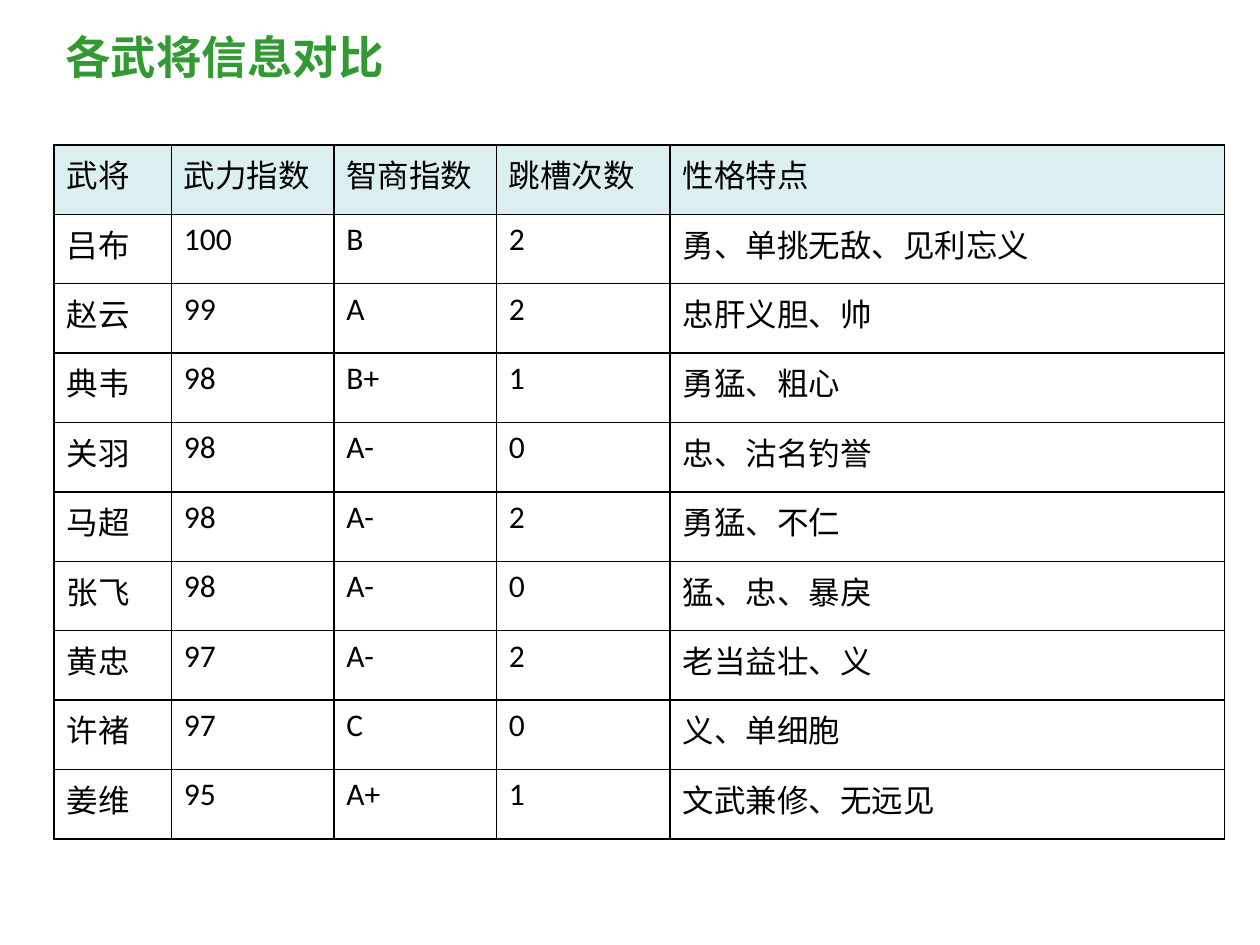
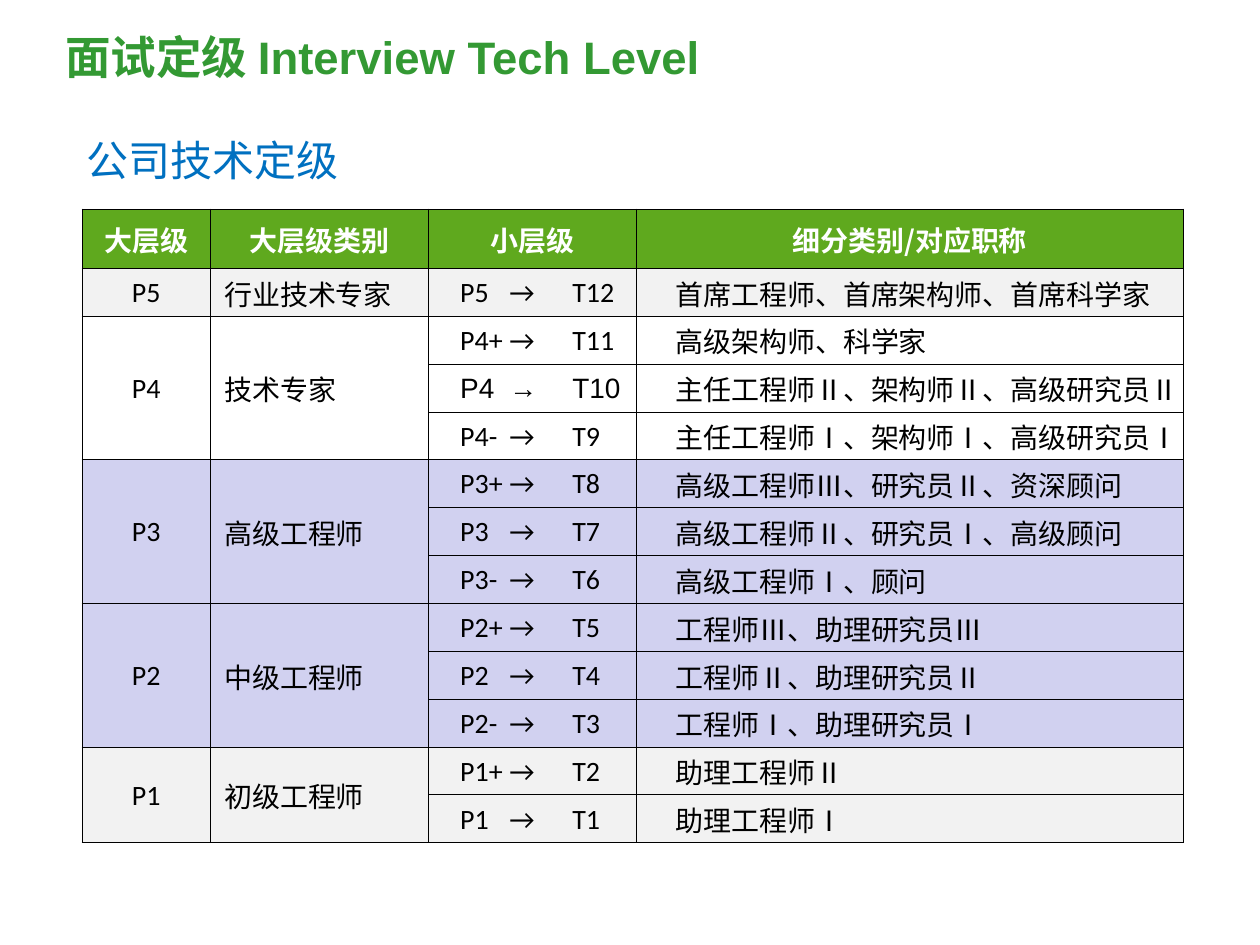
from dataclasses import dataclass

from lxml import etree
from pptx import Presentation
from pptx import util as u
from pptx.dml.color import RGBColor
from pptx.enum import text
from pptx.oxml import ns


@dataclass(frozen=True)
class Theme:
    title_font: str = "Arial"
    body_font: str = "Calibri"
    chinese_font: str = "Noto Sans CJK SC"
    title_size: float = 26
    subtitle_size: float = 24
    generals_size: float = 18
    levels_size: float = 16
    title: str = "339933"
    subtitle: str = "0070C0"
    ink: str = "000000"
    white: str = "FFFFFF"
    generals_header: str = "BBE0E3"
    levels_header: str = "5FA91E"
    grey: str = "F2F2F2"
    lavender: str = "D1D1F0"


@dataclass(frozen=True)
class Box:
    left: float
    top: float
    width: float
    height: float

    def emu(self):
        return [u.Inches(n) for n in (self.left, self.top, self.width, self.height)]


THEME = Theme()
TITLE_BOX = Box(0.42, 0.13, 7.73, 0.63)
ALL_EDGES = "LRTB"
SUB_LEVEL_EDGES = {2: "LTB", 3: "TB", 4: "RTB"}

GENERALS_COLUMNS = [0.93, 1.29, 1.29, 1.38, 4.4]
GENERALS = [
    ("武将", "武力指数", "智商指数", "跳槽次数", "性格特点"),
    ("吕布", "100", "B", "2", "勇、单挑无敌、见利忘义"),
    ("赵云", "99", "A", "2", "忠肝义胆、帅"),
    ("典韦", "98", "B+", "1", "勇猛、粗心"),
    ("关羽", "98", "A-", "0", "忠、沽名钓誉"),
    ("马超", "98", "A-", "2", "勇猛、不仁"),
    ("张飞", "98", "A-", "0", "猛、忠、暴戾"),
    ("黄忠", "97", "A-", "2", "老当益壮、义"),
    ("许褚", "97", "C", "0", "义、单细胞"),
    ("姜维", "95", "A+", "1", "文武兼修、无远见"),
]

LEVEL_COLUMNS = [1.02, 1.73, 0.24, 0.39, 1.02, 4.33]
LEVEL_HEADERS = {0: "大层级", 1: "大层级类别", 2: "小层级", 5: "细分类别/对应职称"}
LEVELS = [
    ("P5", "行业技术专家", THEME.grey, [("P5", "T12", "首席工程师、首席架构师、首席科学家")]),
    ("P4", "技术专家", THEME.white, [
        ("P4+", "T11", "高级架构师、科学家"),
        ("P4", "T10", "主任工程师Ⅱ、架构师Ⅱ、高级研究员Ⅱ"),
        ("P4-", "T9", "主任工程师Ⅰ、架构师Ⅰ、高级研究员Ⅰ")]),
    ("P3", "高级工程师", THEME.lavender, [
        ("P3+", "T8", "高级工程师Ⅲ、研究员Ⅱ、资深顾问"),
        ("P3", "T7", "高级工程师Ⅱ、研究员Ⅰ、高级顾问"),
        ("P3-", "T6", "高级工程师Ⅰ、顾问")]),
    ("P2", "中级工程师", THEME.lavender, [
        ("P2+", "T5", "工程师Ⅲ、助理研究员Ⅲ"),
        ("P2", "T4", "工程师Ⅱ、助理研究员Ⅱ"),
        ("P2-", "T3", "工程师Ⅰ、助理研究员Ⅰ")]),
    ("P1", "初级工程师", THEME.grey, [
        ("P1+", "T2", "助理工程师Ⅱ"),
        ("P1", "T1", "助理工程师Ⅰ")]),
]


def add_element(parent, tag, **attributes):
    return etree.SubElement(parent, ns.qn(tag), **attributes)


def style_font(paragraph, name, size, color, bold=False):
    font = paragraph.font
    font.name, font.size, font.bold = name, u.Pt(size), bold
    font.color.rgb = RGBColor.from_string(color)
    add_element(font._element, "a:ea", typeface=THEME.chinese_font)


def add_heading(slide, box, words, size, color, bold=False):
    frame = slide.shapes.add_textbox(*box.emu()).text_frame
    frame.word_wrap = True
    frame.vertical_anchor = text.MSO_ANCHOR.MIDDLE
    frame.text = words
    style_font(frame.paragraphs[0], THEME.title_font, size, color, bold)


def add_grid(slide, box, columns, rows):
    table = slide.shapes.add_table(len(rows), len(columns), *box.emu()).table
    table.first_row = table.horz_banding = False
    for column, share in zip(table.columns, columns):
        column.width = u.Inches(box.width * share / sum(columns))
    for row, share in zip(table.rows, rows):
        row.height = u.Inches(box.height * share / sum(rows))
    return table


def style_cell(cell, border_width, edges=ALL_EDGES, fill=None, opacity=100):
    properties = cell._tc.get_or_add_tcPr()
    for edge in ALL_EDGES:
        line = add_element(properties, f"a:ln{edge}", w=str(u.Pt(border_width)))
        if edge in edges:
            add_element(add_element(line, "a:solidFill"), "a:srgbClr", val=THEME.ink)
        else:
            add_element(line, "a:noFill")
    if fill is None:
        cell.fill.background()
        return
    cell.fill.solid()
    cell.fill.fore_color.rgb = RGBColor.from_string(fill)
    if opacity < 100:
        color = properties.find(".//" + ns.qn("a:solidFill") + "[last()]/" + ns.qn("a:srgbClr"))
        color = properties.findall(ns.qn("a:solidFill"))[-1][0]
        add_element(color, "a:alpha", val=str(opacity * 1000))


def write_level_cell(cell, words, font=THEME.body_font, color=THEME.ink, bold=False,
                     align=text.PP_ALIGN.LEFT, indent=0, level=0, tab=None):
    cell.vertical_anchor = text.MSO_ANCHOR.MIDDLE
    cell.margin_left = cell.margin_right = cell.margin_top = u.Inches(0.01)
    cell.margin_bottom = 0
    cell.text = words
    paragraph = cell.text_frame.paragraphs[0]
    paragraph.alignment = align
    paragraph.level = level
    properties = paragraph._p.get_or_add_pPr()
    properties.set("marL", str(u.Inches(indent)))
    properties.set("indent", "0")
    if tab:
        add_element(add_element(properties, "a:tabLst"), "a:tab", pos=str(u.Inches(tab)), algn="l")
    style_font(paragraph, font, THEME.levels_size, color, bold)


def add_generals_table(slide, box):
    table = add_grid(slide, box, GENERALS_COLUMNS, [1] * len(GENERALS))
    for r, general in enumerate(GENERALS):
        for c, words in enumerate(general):
            cell = table.cell(r, c)
            cell.text = words
            style_font(cell.text_frame.paragraphs[0], THEME.body_font, THEME.generals_size, THEME.ink)
            style_cell(cell, 1, fill=None if r else THEME.generals_header, opacity=50)


def add_level_header(table):
    for c in range(len(LEVEL_COLUMNS)):
        style_cell(table.cell(0, c), 0.5, fill=THEME.levels_header)
    for c, words in LEVEL_HEADERS.items():
        write_level_cell(table.cell(0, c), words, THEME.chinese_font, THEME.white, True,
                         text.PP_ALIGN.CENTER)
    table.cell(0, 2).merge(table.cell(0, 4))


def add_level_group(table, top, group):
    level, category, fill, sub_levels = group
    for r, (sub_level, grade, jobs) in enumerate(sub_levels, top):
        for c in range(len(LEVEL_COLUMNS)):
            style_cell(table.cell(r, c), 0.5, SUB_LEVEL_EDGES.get(c, ALL_EDGES), fill)
        font = THEME.title_font if grade == "T10" else THEME.body_font
        write_level_cell(table.cell(r, 2), "")
        write_level_cell(table.cell(r, 3), sub_level, font)
        write_level_cell(table.cell(r, 4), f"→\t{grade}", font, tab=0.34 if grade == "T10" else 0.3)
        write_level_cell(table.cell(r, 5), jobs, THEME.chinese_font,
                         align=text.PP_ALIGN.JUSTIFY, indent=0.3, level=1)
    write_level_cell(table.cell(top, 0), level, align=text.PP_ALIGN.CENTER)
    write_level_cell(table.cell(top, 1), category, THEME.chinese_font, indent=0.1)
    if len(sub_levels) > 1:
        for c in (0, 1):
            table.cell(top, c).merge(table.cell(top + len(sub_levels) - 1, c))


def add_levels_table(slide, box):
    row_count = sum(len(group[-1]) for group in LEVELS)
    table = add_grid(slide, box, LEVEL_COLUMNS, [0.47] + [0.38] * row_count)
    add_level_header(table)
    top = 1
    for group in LEVELS:
        add_level_group(table, top, group)
        top += len(group[-1])


def add_titled_slide(presentation, title):
    slide = presentation.slides.add_slide(presentation.slide_layouts[6])
    add_heading(slide, TITLE_BOX, title, THEME.title_size, THEME.title, bold=True)
    return slide


def main():
    presentation = Presentation()
    presentation.slide_width, presentation.slide_height = u.Inches(10), u.Inches(7.5)

    generals_slide = add_titled_slide(presentation, "各武将信息对比")
    add_generals_table(generals_slide, Box(0.43, 1.15, 9.29, 5.51))

    levels_slide = add_titled_slide(presentation, "面试定级 Interview Tech Level")
    add_levels_table(levels_slide, Box(0.65, 1.66, 8.74, 5.03))
    add_heading(levels_slide, Box(0.59, 0.95, 7.57, 0.63), "公司技术定级",
                THEME.subtitle_size, THEME.subtitle)

    presentation.save("out.pptx")


if __name__ == "__main__":
    main()
